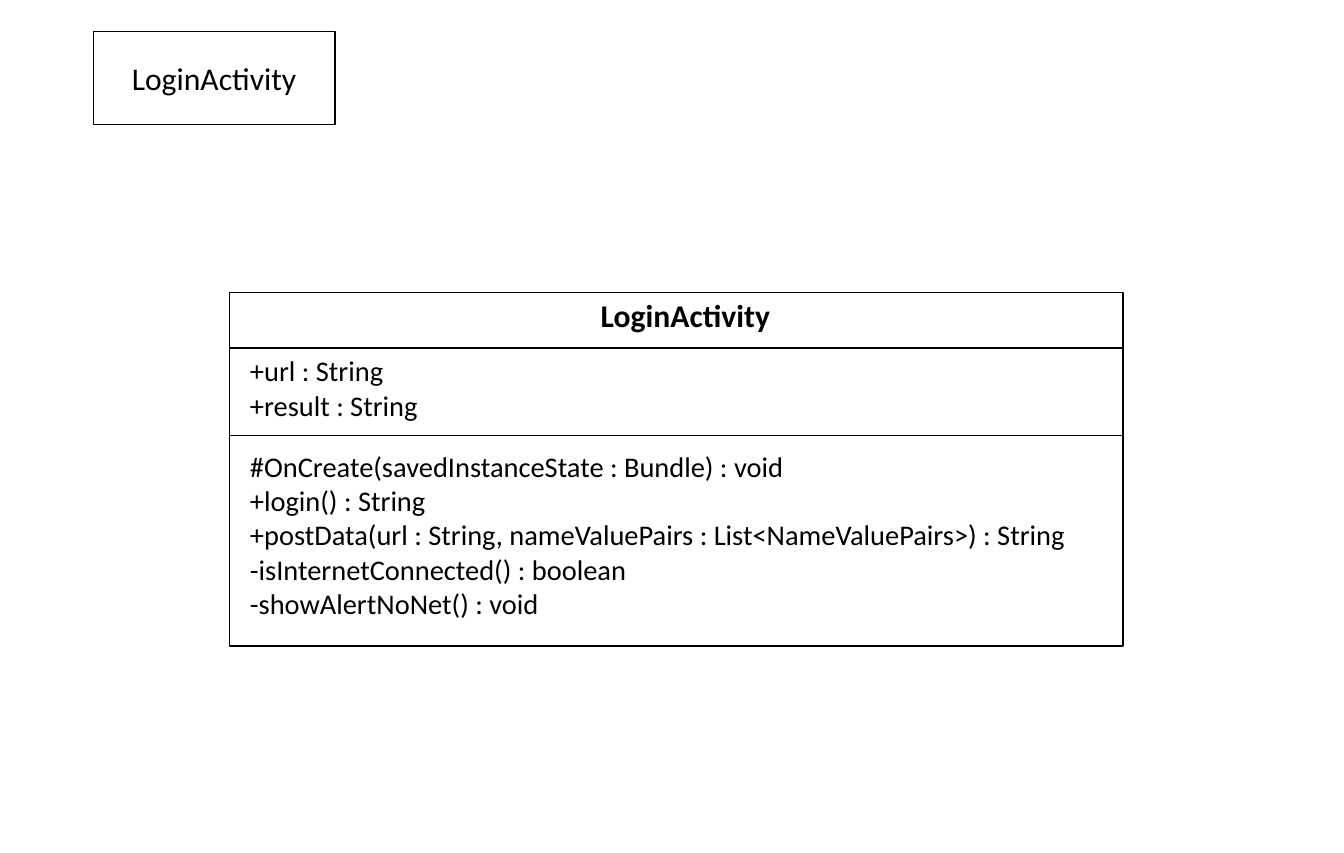
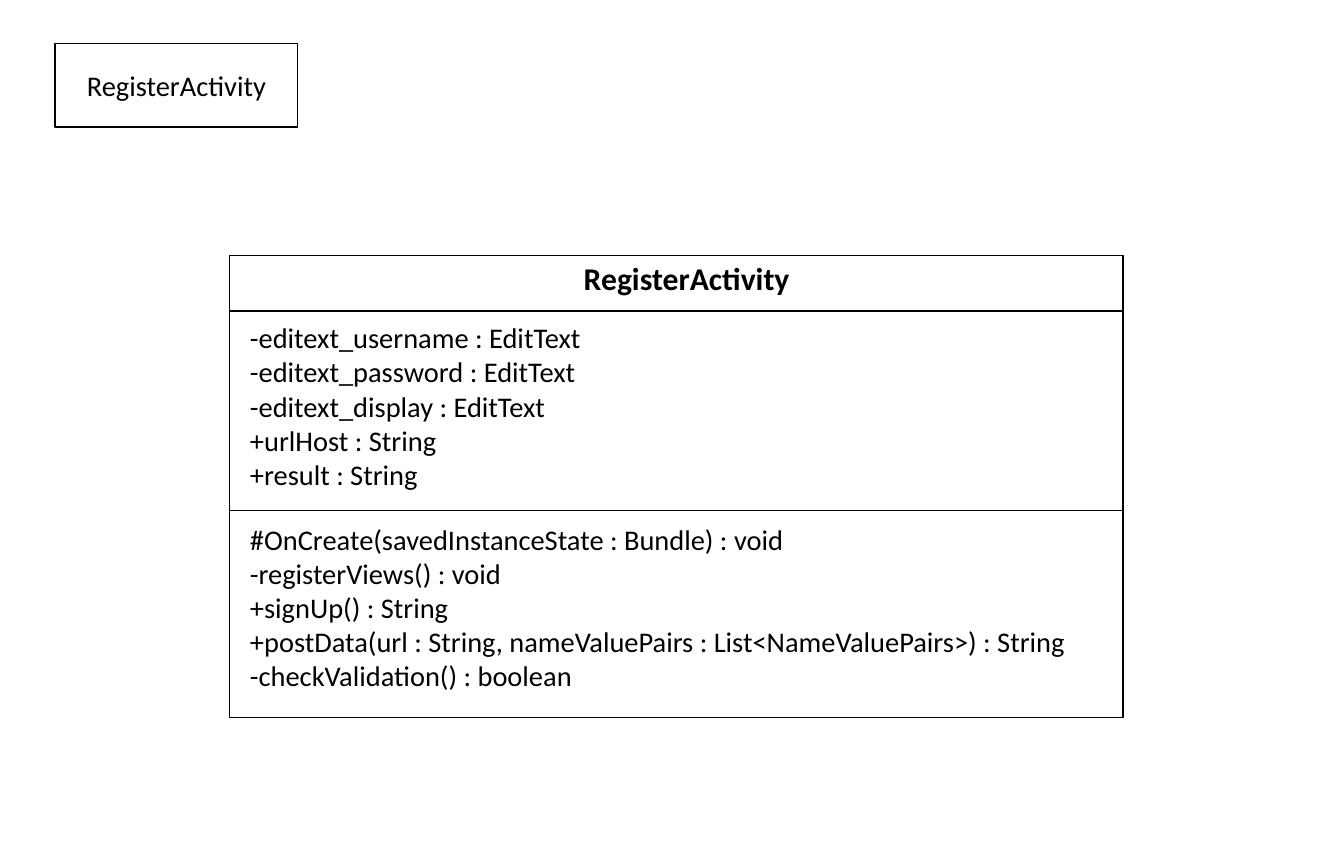
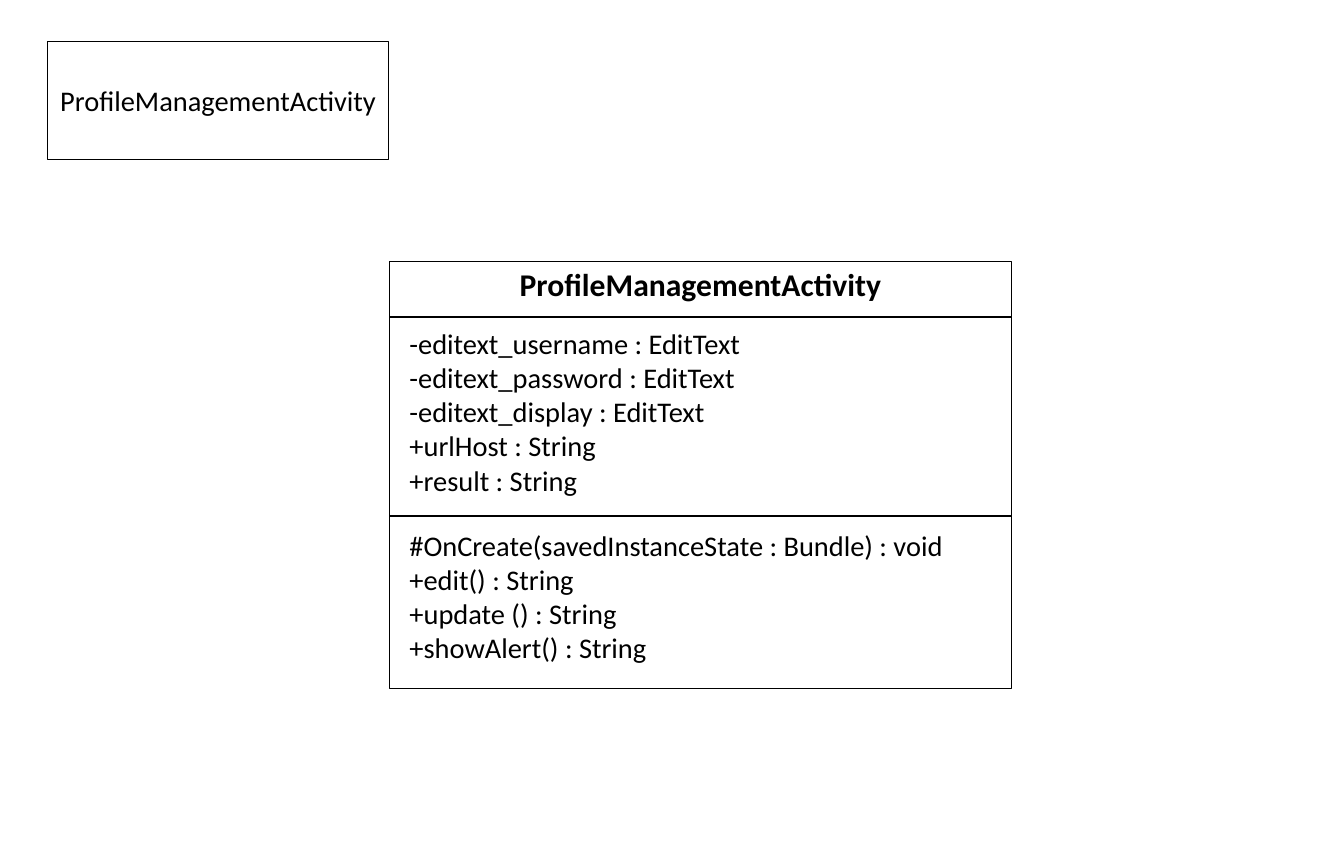
from dataclasses import dataclass

from lxml import etree
from pptx import Presentation
from pptx.dml.color import RGBColor
from pptx.enum.shapes import MSO_CONNECTOR as Connector, MSO_SHAPE as Preset
from pptx.enum.text import MSO_ANCHOR as Anchor, PP_ALIGN as Align
from pptx.oxml.ns import qn
from pptx.shapes.autoshape import Shape
from pptx.slide import Slide
from pptx.text.text import TextFrame
from pptx.util import Cm, Pt

# Shared style, lengths in centimetres and sizes in points
FONT = "Calibri"
INK, PAPER = "000000", "FFFFFF"
BORDER, DIVIDER = 0.75, 1
HEADING_SIZE, MEMBER_SIZE = 20, 18
HEADER_HEIGHT = 1.24
HEADING_RISE, HEADING_HEIGHT = 0.05, 1.12
MEMBER_INDENT = 0.2


@dataclass(frozen=True)
class Area:
    left: float
    top: float
    width: float
    height: float


@dataclass(frozen=True)
class Section:
    """Members of a class; offset is measured from the top of its card."""
    offset: float
    width: float
    height: float
    text: str


@dataclass(frozen=True)
class ClassDiagram:
    name: str
    tag: Area
    tag_size: int
    card: Area
    heading_left: float
    heading_width: float
    split: float
    attributes: Section
    methods: Section


EDIT_FIELDS = Section(
    1.32, 17.37, 4.11,
    "-editext_username : EditText\v-editext_password : EditText\n"
    "-editext_display : EditText\n"
    "+urlHost : String\v+result : String")
ON_CREATE = "#OnCreate(savedInstanceState : Bundle) : void\v"
POST_DATA = "+postData(url : String, nameValuePairs : List<NameValuePairs>) : String\n"

DIAGRAMS = [
    ClassDiagram(
        "LoginActivity", Area(2.08, 0.71, 5.4, 2.08), 20,
        Area(5.13, 6.53, 19.94, 7.9), 13.16, 4.32, 3.2,
        Section(1.24, 4.98, 2.57, "+url : String\v+result : String"),
        Section(3.38, 18.9, 4.11,
                ON_CREATE + "+login() : String\n" + POST_DATA
                + "-isInternetConnected() : boolean\n-showAlertNoNet() : void")),
    ClassDiagram(
        "RegisterActivity", Area(1.23, 0.97, 5.42, 1.87), 18,
        Area(5.13, 5.71, 19.94, 10.31), 12.78, 6.2, 5.69,
        EDIT_FIELDS,
        Section(5.82, 18.9, 4.11,
                ON_CREATE + "-registerViews() : void\n+signUp() : String\n"
                + POST_DATA + "-checkValidation() : boolean")),
    ClassDiagram(
        "ProfileManagementActivity", Area(1.06, 0.92, 7.62, 2.64), 18,
        Area(8.69, 5.84, 13.89, 9.53), 11.35, 9.42, 5.69,
        EDIT_FIELDS,
        Section(5.82, 12.9, 3.34,
                ON_CREATE + "+edit() : String\n+update () : String\n"
                "+showAlert() : String")),
]


def color(value: str) -> RGBColor:
    return RGBColor.from_string(value)


def write(frame: TextFrame, text: str, size: int, bold: bool = False,
          align: Align = Align.LEFT) -> None:
    frame.word_wrap = True
    frame.text = text
    for para in frame.paragraphs:
        para.alignment = align
        for span in para.runs:
            span.font.name = FONT
            span.font.size = Pt(size)
            span.font.bold = bold
            span.font.color.rgb = color(INK)


def add_frame(page: Slide, area: Area) -> Shape:
    box = page.shapes.add_shape(Preset.RECTANGLE, Cm(area.left), Cm(area.top),
                                Cm(area.width), Cm(area.height))
    box.shadow.inherit = False
    box.fill.solid()
    box.fill.fore_color.rgb = color(PAPER)
    box.line.color.rgb = color(INK)
    box.line.width = Pt(BORDER)
    return box


def add_text(page: Slide, area: Area, text: str, size: int, bold: bool = False) -> None:
    box = page.shapes.add_textbox(Cm(area.left), Cm(area.top),
                                  Cm(area.width), Cm(area.height))
    write(box.text_frame, text, size, bold)


def add_divider(page: Slide, card: Area, offset: float) -> None:
    height = Cm(card.top + offset)
    line = page.shapes.add_connector(Connector.STRAIGHT, Cm(card.left), height,
                                     Cm(card.left + card.width), height)
    line.line.color.rgb = color(INK)
    line.line.width = Pt(DIVIDER)
    etree.SubElement(line._element.spPr, qn("a:effectLst"))


def draw_diagram(page: Slide, diagram: ClassDiagram) -> None:
    # Name tag in the corner
    tag = add_frame(page, diagram.tag)
    tag.text_frame.vertical_anchor = Anchor.MIDDLE
    write(tag.text_frame, diagram.name, diagram.tag_size, align=Align.CENTER)

    # Class card with its heading
    card = diagram.card
    add_frame(page, card)
    heading = Area(diagram.heading_left, card.top - HEADING_RISE,
                   diagram.heading_width, HEADING_HEIGHT)
    add_text(page, heading, diagram.name, HEADING_SIZE, bold=True)

    # Dividers and members
    for offset in (HEADER_HEIGHT, diagram.split):
        add_divider(page, card, offset)
    for section in (diagram.attributes, diagram.methods):
        area = Area(card.left + MEMBER_INDENT, card.top + section.offset,
                    section.width, section.height)
        add_text(page, area, section.text, MEMBER_SIZE)


def main() -> None:
    deck = Presentation()
    deck.slide_width, deck.slide_height = Cm(30), Cm(19.05)
    blank = deck.slide_layouts[6]
    for diagram in DIAGRAMS:
        draw_diagram(deck.slides.add_slide(blank), diagram)
    deck.save("out.pptx")


main()
